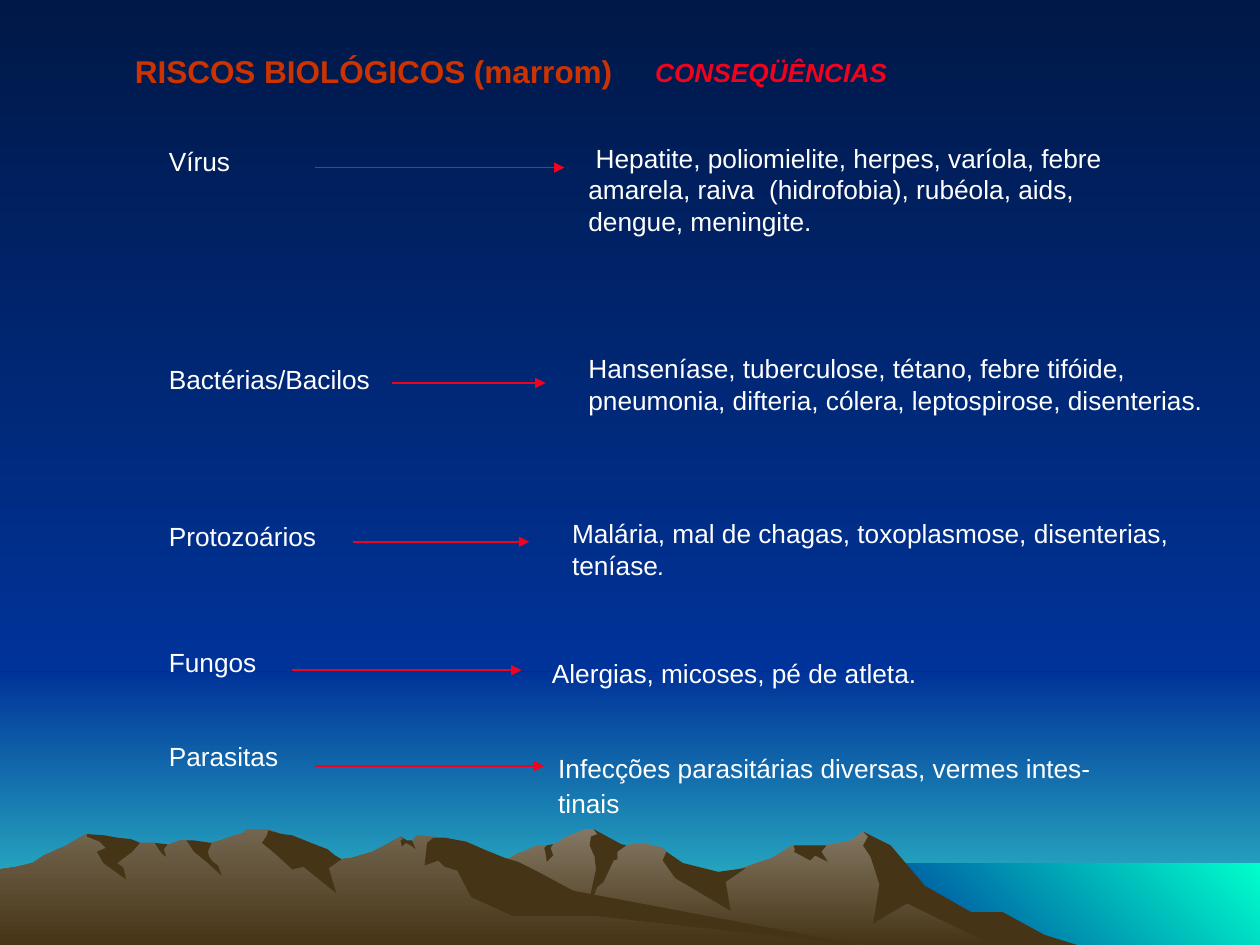
from lxml import etree
from pptx import Presentation
from pptx import util as u
from pptx.dml.color import RGBColor
from pptx.enum import shapes, text
from pptx.oxml.ns import qn

# The slide is a grid of 1000 columns by 750 rows
COLS, ROWS = 1000, 750
UNIT = u.Inches(0.01)
FONT = "Arial"
BODY = 15
PITCH = 17.9  # points from one body line to the next

NAVY = RGBColor(0x00, 0x18, 0x47)
BLUE = RGBColor(0x00, 0x33, 0x99)
TEAL = RGBColor(0x33, 0xCC, 0xCC)
AQUA = RGBColor(0x00, 0xFF, 0xCC)
STONE = RGBColor(0x84, 0x78, 0x64)
CLAY = RGBColor(0x73, 0x65, 0x4F)
EARTH = RGBColor(0x46, 0x34, 0x16)
BROWN = RGBColor(0xCC, 0x33, 0x00)
RED = RGBColor(0xF0, 0x03, 0x1E)
WHITE = RGBColor(0xFF, 0xFF, 0xFF)

# Mountain outlines, in grid units
EAST = [
    (802, 740), (778, 727), (764, 723), (723, 698), (702, 671), (685, 660),
    (676, 667), (656, 671), (629, 671), (613, 681), (566, 697), (536, 690),
    (529, 676), (526, 673), (509, 669), (497, 671), (486, 673), (474, 661),
    (471, 658), (465, 658), (450, 664), (448, 665), (444, 668), (438, 671),
    (430, 671), (424, 672), (418, 675), (412, 677), (405, 681), (399, 683),
    (394, 685), (355, 698), (327, 709), (277, 739), (258, 751), (821, 751)]
WEST = [
    (690, 751), (667, 748), (432, 712), (354, 665), (331, 663), (327, 668),
    (323, 668), (318, 664), (296, 676), (279, 681), (271, 682), (260, 676),
    (236, 681), (223, 663), (219, 660), (215, 659), (212, 658), (196, 658),
    (194, 660), (191, 662), (186, 663), (178, 666), (168, 669), (160, 671),
    (148, 667), (143, 667), (132, 671), (128, 671), (123, 669), (111, 669),
    (94, 671), (68, 662), (56, 669), (53, 671), (46, 674), (35, 679),
    (26, 685), (14, 688), (0, 690), (0, 751)]
EAST_SHADE = [
    [(796, 724), (771, 724), (734, 703), (707, 671), (685, 660), (689, 664),
     (685, 671), (691, 680), (698, 702), (693, 733), (720, 717), (792, 752),
     (858, 751), (829, 742)],
    [(471, 658), (474, 662), (469, 664), (468, 671), (472, 680), (473, 690),
     (465, 727), (474, 704), (479, 700), (487, 683), (490, 682), (490, 676),
     (497, 671), (493, 670)],
    [(529, 676), (526, 683), (536, 697), (580, 723), (576, 700), (592, 689),
     (570, 692), (542, 685)],
    [(650, 671), (630, 671), (631, 675), (630, 676), (643, 683), (647, 679),
     (657, 684), (652, 676), (656, 671)],
    [(433, 677), (432, 673), (434, 671), (439, 670), (437, 673), (439, 679),
     (434, 684)]]
WEST_SHADE = [
    [(212, 663), (208, 669), (219, 678), (232, 690), (241, 688), (267, 709),
     (261, 689), (271, 682), (266, 679), (260, 674), (252, 671), (232, 663),
     (224, 662), (213, 659)],
    [(370, 668), (354, 665), (344, 665), (339, 669), (337, 687), (348, 683),
     (353, 688), (363, 691), (374, 712), (407, 727), (472, 727), (690, 751),
     (683, 750), (455, 707), (427, 692), (411, 684), (401, 681), (386, 675)],
    [(318, 667), (320, 666), (318, 664), (323, 667), (327, 667), (330, 674),
     (326, 671), (322, 669), (319, 672)],
    [(154, 667), (161, 668), (168, 669), (165, 676), (166, 680), (169, 684),
     (173, 687), (176, 695), (165, 685), (154, 676), (148, 667)],
    [(133, 670), (130, 674), (132, 680), (129, 678), (126, 674), (123, 669)],
    [(109, 668), (111, 669), (105, 676), (93, 685), (98, 689), (100, 698),
     (82, 685), (77, 676), (84, 673), (79, 668), (69, 664), (69, 662),
     (83, 663), (94, 665), (104, 666)]]

# Agent, blank lines above it
AGENTS = [("Vírus", 0), ("Bactérias/Bacilos", 6), ("Protozoários", 4),
          ("Fungos", 3), ("Parasitas", 2)]
# Arrow start, end and row
ARROWS = [(250, 448, 133), (311, 433, 304), (280, 420, 430),
          (232, 414, 532), (250, 432, 608)]
# Box, wrap, space before later lines, lines
EFFECTS = [
    ((458, 108, 483, 84), True, 0, [
        " Hepatite, poliomielite, herpes, varíola, febre amarela, raiva  "
        "(hidrofobia), rubéola, aids, dengue, meningite."]),
    ((458, 275, 516, 59), True, 0, [
        "Hanseníase, tuberculose, tétano, febre tifóide, pneumonia, "
        "difteria, cólera, leptospirose, disenterias."]),
    ((445, 406, 493, 59), False, 0, [
        "Malária, mal de chagas, toxoplasmose, disenterias,", "teníase"]),
    ((429, 517, 308, 34), False, 0, ["Alergias, micoses, pé de atleta."]),
    ((434, 592, 442, 62), False, 1.9, [
        "Infecções parasitárias diversas, vermes intes-", "tinais"])]


def grade(fill, first, last, angle=270):
    fill.gradient()
    fill.gradient_angle = angle
    for stop, color in zip(fill.gradient_stops, (first, last)):
        stop.color.rgb = color


def paint(shape, first, last=None, angle=270):
    shape.shadow.inherit = False
    shape.line.fill.background()
    if last is None:
        shape.fill.solid()
        shape.fill.fore_color.rgb = first
    else:
        grade(shape.fill, first, last, angle)


def band(slide, box, *colors):
    rect = slide.shapes.add_shape(shapes.MSO_SHAPE.RECTANGLE,
                                  *(n * UNIT for n in box))
    paint(rect, *colors)


def ridge(slide, points, *colors):
    pen = slide.shapes.build_freeform(*points[0], scale=UNIT)
    pen.add_line_segments(points[1:], close=True)
    paint(pen.convert_to_shape(), *colors)


def write(slide, box, lines, size=BODY, color=WHITE, wrap=False,
          bold=False, slant=False):
    frame = slide.shapes.add_textbox(*(n * UNIT for n in box)).text_frame
    frame.word_wrap = wrap
    frame.auto_size = text.MSO_AUTO_SIZE.SHAPE_TO_FIT_TEXT
    frame.margin_left = frame.margin_right = u.Inches(0.09)
    frame.text = "\n".join(lines)
    for para in frame.paragraphs:
        font = para.font
        font.name, font.size = FONT, u.Pt(size)
        font.color.rgb = color
        font.bold, font.italic = bold, slant
    return frame.paragraphs


def arrow(slide, start, end, row):
    line = slide.shapes.add_connector(
        shapes.MSO_CONNECTOR.STRAIGHT,
        *(n * UNIT for n in (start, row, end, row)))
    line.line.color.rgb = RED
    line.line.width = u.Pt(1)
    props = line._element.spPr
    etree.SubElement(props.find(qn("a:ln")), qn("a:tailEnd"),
                     type="triangle")
    etree.SubElement(props, qn("a:effectLst"))


def scene(slide):
    # Sky, haze and sea
    grade(slide.background.fill, NAVY, BLUE)
    band(slide, (0, 533, COLS, ROWS - 533), BLUE, TEAL)
    band(slide, (0, 0, COLS, 533), NAVY, BLUE)
    band(slide, (683, 685, COLS - 683, ROWS - 685), BLUE, AQUA, 45)
    # Mountains and their shaded sides
    for body, light, shades in ((EAST, STONE, EAST_SHADE),
                                (WEST, CLAY, WEST_SHADE)):
        ridge(slide, body, light, EARTH)
        for shade in shades:
            ridge(slide, shade, EARTH)


def main():
    deck = Presentation()
    deck.slide_width, deck.slide_height = COLS * UNIT, ROWS * UNIT
    slide = deck.slides.add_slide(deck.slide_layouts[6])
    scene(slide)

    # Headings
    write(slide, (98, 36, 398, 39), ["RISCOS BIOLÓGICOS (marrom)"],
          18, BROWN, bold=True)
    write(slide, (511, 40, 203, 34), ["CONSEQÜÊNCIAS"],
          color=RED, bold=True, slant=True)

    # Agents
    paras = write(slide, (125, 117, 252, 527),
                  [name for name, _ in AGENTS], wrap=True)
    paras[0].line_spacing = 0.7
    for para, (_, gap) in zip(paras[1:], AGENTS[1:]):
        para.space_before = u.Pt(round(gap * PITCH, 1))

    # Arrows and effects
    for ends in ARROWS:
        arrow(slide, *ends)
    for box, wrap, gap, lines in EFFECTS:
        paras = write(slide, box, lines, wrap=wrap)
        for para in paras[1:]:
            para.space_before = u.Pt(gap)
        if lines[-1] == "teníase":
            dot = paras[-1].add_run()
            dot.text = "."
            dot.font.size, dot.font.italic = u.Pt(14), True

    deck.save("out.pptx")


if __name__ == "__main__":
    main()
